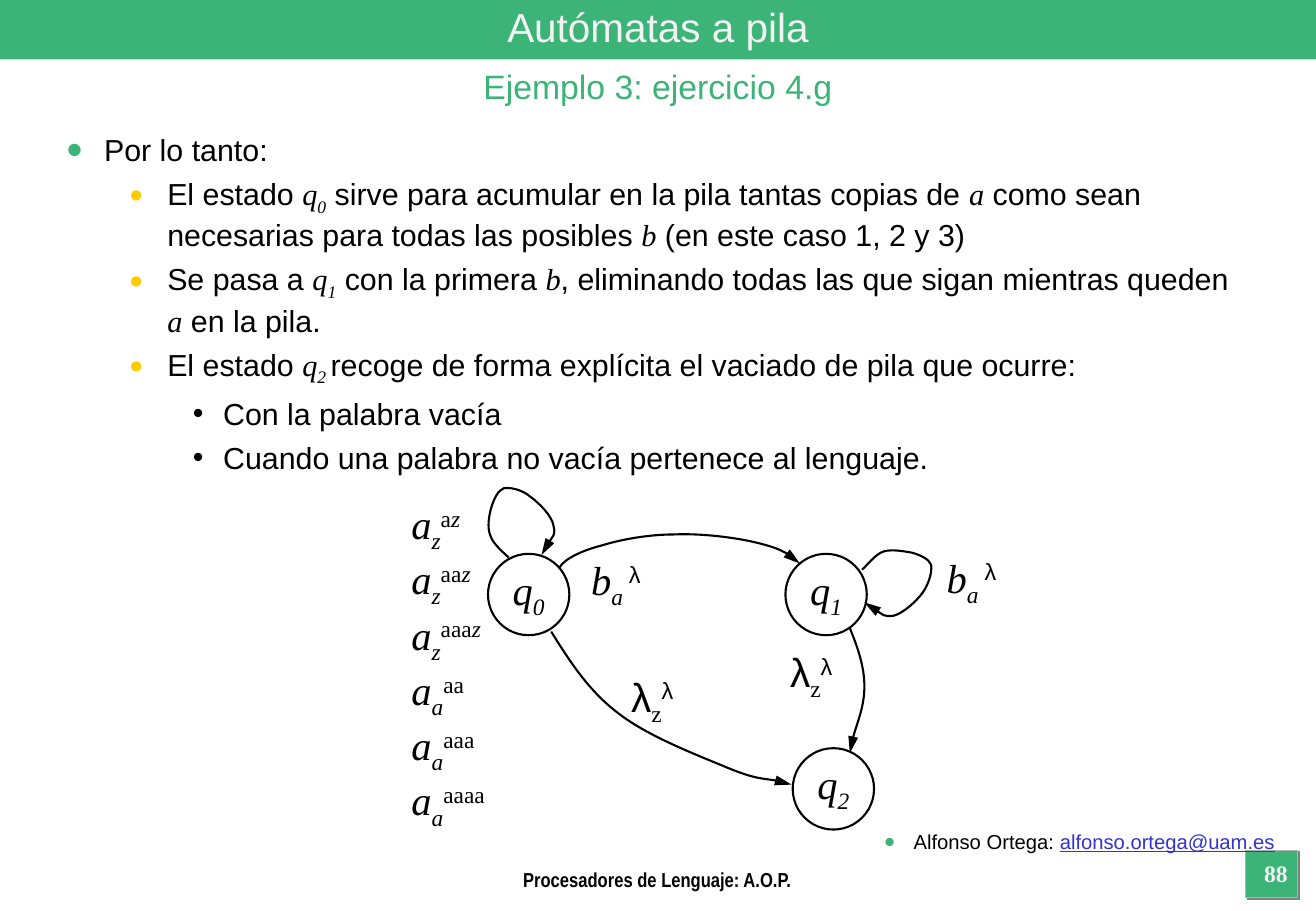
from lxml import etree
from pptx import Presentation
from pptx.dml.color import RGBColor
from pptx.enum.shapes import MSO_SHAPE
from pptx.enum.text import MSO_ANCHOR, PP_ALIGN
from pptx.oxml.ns import qn
from pptx.util import Inches, Pt

RECT, OVAL = MSO_SHAPE.RECTANGLE, MSO_SHAPE.OVAL
LEFT, MID, RIGHT = PP_ALIGN.LEFT, PP_ALIGN.CENTER, PP_ALIGN.RIGHT
GREEN = RGBColor(0x3C, 0xB4, 0x78)
GOLD = RGBColor(0xFF, 0xCC, 0x00)
BLACK = RGBColor(0, 0, 0)
PALE = RGBColor(0xF2, 0xF2, 0xF2)
SILVER = RGBColor(0xB2, 0xB2, 0xB2)
GRAY = RGBColor(0x80, 0x80, 0x80)
BLUE = RGBColor(0x33, 0x33, 0xCC)
SANS, SERIF, NARROW = "Arial", "Times New Roman", "Arial Narrow"
WIDE, HIGH = 10.84, 7.5
CELL = 0.01  # inches per grid cell of the diagram

# Run marks: t serif, i serif italic, _ subscript, ^ superscript
BODY = [
    (0, [("Por lo tanto:", "")]),
    (1, [("El estado ", ""), ("q", "i"), ("0", "i_"),
         (" sirve para acumular en la pila tantas copias de ", ""), ("a", "i"),
         (" como sean necesarias para todas las posibles ", ""), ("b", "i"),
         (" (en este caso 1, 2 y 3)", "")]),
    (1, [("Se pasa a ", ""), ("q", "i"), ("1", "i_"),
         (" con la primera ", ""), ("b", "i"),
         (", eliminando todas las que sigan mientras queden ", ""),
         ("a", "i"), (" en la pila.", "")]),
    (1, [("El estado ", ""), ("q", "i"), ("2 ", "i_"),
         ("recoge de forma explícita el vaciado de pila que ocurre:", "")]),
    (2, [("Con la palabra vacía", "")]),
    (2, [("Cuando una palabra no vacía pertenece al lenguaje.", "")]),
]
# Per level: left margin, hanging indent, bullet colour, bullet percent
LEVELS = [(0.31, 0.31, GREEN, 150), (0.83, 0.31, GOLD, 125),
          (1.29, 0.25, BLACK, 100)]

# Diagram places, in cells from its top left corner
NODES = [("0", 72, 56), ("1", 317, 56), ("2", 323, 216)]
POP = [("b", "i"), ("a ", "i_"), ("λ", "^")]
VOID = [("λ", ""), ("z", "t_"), ("λ", "^")]
LABELS = [(POP, 147, 52), (POP, 440, 50), (VOID, 311, 128), (VOID, 180, 148)]
PUSHES = [("z", "a", "z"), ("z", "aa", "z"), ("z", "aaa", "z"),
          ("a", "aa", ""), ("a", "aaa", ""), ("a", "aaaa", "")]
# Each curve: its start, then three points for every Bézier piece
CURVES = [
    [(131, 67), (135, 60), (150, 53), (166, 49), (182, 44), (205, 40),
     (225, 40), (246, 39), (272, 42), (290, 46), (307, 50), (323, 56),
     (329, 64)],
    [(89, 59), (86, 56), (76, 48), (74, 41), (71, 34), (73, 24), (75, 17),
     (77, 11), (80, 4), (85, 2), (90, 1), (100, 3), (107, 9), (114, 14),
     (125, 25), (126, 33), (128, 41), (118, 52), (116, 57)],
    [(370, 117), (376, 132), (382, 148), (382, 165), (382, 182),
     (370, 211), (370, 220)],
    [(380, 69), (383, 67), (391, 56), (398, 54), (405, 52), (415, 54),
     (421, 55), (428, 57), (435, 60), (437, 65), (438, 71), (435, 81),
     (430, 88), (425, 95), (414, 105), (406, 107), (397, 108), (387, 99),
     (382, 96)],
    [(124, 120), (139, 144), (155, 169), (179, 187), (203, 206),
     (245, 222), (269, 232), (293, 242), (314, 242), (322, 246)],
]


def add_run(para, text, mark="", size=18, color=BLACK, face=SANS, bold=False):
    run = para.add_run()
    run.text = text
    font = run.font
    font.size, font.bold, font.italic = Pt(size), bold, "i" in mark
    font.name = SERIF if "i" in mark or "t" in mark else face
    font.color.rgb = color
    for sign, shift in (("_", "-25000"), ("^", "30000")):
        if sign in mark:
            font._element.set("baseline", shift)
    return run


def add_text(slide, box):
    frame = slide.shapes.add_textbox(*map(Inches, box)).text_frame
    frame.word_wrap = True
    return frame


def add_line(slide, box, text, size, color, face=SANS, bold=False):
    """Add one centred line of text."""
    frame = add_text(slide, box)
    para = frame.paragraphs[0]
    para.alignment = MID
    add_run(para, text, "", size, color, face, bold)
    return frame


def add_bullet(para, left, hang, color, share):
    props = para._p.get_or_add_pPr()
    props.set("marL", str(Inches(left)))
    props.set("indent", str(-Inches(hang)))
    tint = etree.SubElement(props, qn("a:buClr"))
    etree.SubElement(tint, qn("a:srgbClr"), val=str(color))
    etree.SubElement(props, qn("a:buSzPct"), val=str(share * 1000))
    etree.SubElement(props, qn("a:buFont"), typeface=SANS)
    etree.SubElement(props, qn("a:buChar"), char="•")


def add_form(slide, kind, box, fill=None, line=None, width=1.25):
    form = slide.shapes.add_shape(kind, *map(Inches, box))
    paint(form, fill, line, width)
    return form


def paint(form, fill, line, width):
    form.shadow.inherit = False
    for part, color in ((form.fill, fill), (form.line.fill, line)):
        if color is None:
            part.background()
        else:
            part.solid()
            part.fore_color.rgb = color
    if line is not None:
        form.line.width = Pt(width)


def add_curve(slide, left, top, points):
    """Draw a Bézier arrow through points given in cells."""
    pen = slide.shapes.build_freeform(*points[0], scale=Inches(CELL))
    pen.add_line_segments(points[1:], close=False)
    form = pen.convert_to_shape(Inches(left), Inches(top))
    paint(form, None, BLACK, 1.25)
    steps = list(form._element.iter(qn("a:lnTo")))
    for i in range(0, len(steps), 3):
        piece = etree.Element(qn("a:cubicBezTo"))
        steps[i].addprevious(piece)
        for step in steps[i:i + 3]:
            piece.append(step[0])
            step.getparent().remove(step)
    etree.SubElement(form.line._get_or_add_ln(), qn("a:tailEnd"),
                     type="triangle", w="med", len="lg")


def add_head(slide, left, top, width, row):
    """Fill two rows: the green bar with the title, then the subtitle."""
    add_form(slide, RECT, (left, top, width, row), GREEN)
    title = add_line(slide, (left, top, width, 0.9 * row),
                     "Autómatas a pila", 24, PALE)
    title.vertical_anchor = MSO_ANCHOR.MIDDLE
    add_line(slide, (left, top + row, width, 0.9 * row),
             "Ejemplo 3: ejercicio 4.g", 20, GREEN)


def add_body(slide, box):
    frame = add_text(slide, box)
    for i, (level, runs) in enumerate(BODY):
        para = frame.add_paragraph() if i else frame.paragraphs[0]
        add_bullet(para, *LEVELS[level])
        para.level = level
        if i:
            para.space_before = Pt(4.5)
        for text, mark in runs:
            add_run(para, text, mark)


def add_graph(slide, left, top):
    """Draw the automaton from its top left corner."""
    def spot(x, y, w, h):
        return left + x * CELL, top + y * CELL, w * CELL, h * CELL

    def label(box, lines, align=LEFT):
        frame = add_text(slide, spot(*box))
        for i, runs in enumerate(lines):
            para = frame.add_paragraph() if i else frame.paragraphs[0]
            para.alignment = align
            for text, mark in runs:
                add_run(para, text, mark, 24)

    for name, x, y in NODES:
        add_form(slide, OVAL, spot(x, y, 67, 67), line=BLACK)
        label((x, y + 4, 67, 56), [[("q", "i"), (name, "i_")]], MID)
    for points in CURVES:
        add_curve(slide, left, top, points)
    for runs, x, y in LABELS:
        label((x, y, 75, 56), [runs])
    rows = []
    for base, stack, rest in PUSHES:
        runs = [("a", "i"), (base, "i_"), (stack, "t^")]
        rows.append(runs + [(rest, "i^")] if rest else runs)
    label((-1, 6, 100, 283), rows)


def add_foot(slide, left, top, width):
    """Place author, course and page number below the given top."""
    badge = add_form(slide, RECT, (left + width - 0.58, top + 0.22, 0.43, 0.39),
                     GREEN, SILVER, 0.75)
    effects = badge._element.spPr.find(qn("a:effectLst"))
    shade = etree.SubElement(effects, qn("a:outerShdw"), dist=str(Pt(1.4)),
                             dir="2700000", algn="ctr", rotWithShape="0")
    etree.SubElement(shade, qn("a:srgbClr"), val=str(GRAY))
    para = add_text(slide, (left + 3.02, top, 7.58, 0.44)).paragraphs[0]
    add_bullet(para, 0.24, 0.24, GREEN, 150)
    para.alignment = RIGHT
    add_run(para, "Alfonso Ortega: ", size=12)
    mail = add_run(para, "alfonso.ortega@uam.es", size=12, color=BLUE)
    mail.font.underline = True
    add_line(slide, (left + 3.01, top + 0.31, 4.81, 0.18),
             "Procesadores de Lenguaje: A.O.P.", 12, BLACK, NARROW, True)
    add_line(slide, (left + width - 0.6, top + 0.24, 0.54, 0.35),
             "88", 14, PALE, SERIF, True)


def main():
    deck = Presentation()
    deck.slide_width, deck.slide_height = Inches(WIDE), Inches(HIGH)
    slide = deck.slides.add_slide(deck.slide_layouts[6])
    add_head(slide, 0, 0, WIDE, 0.49)
    add_body(slide, (0.45, 1.03, 9.96, 5.8))
    add_graph(slide, 3.3, 4)
    add_foot(slide, 0, 6.78, WIDE)
    deck.save("out.pptx")


if __name__ == "__main__":
    main()
